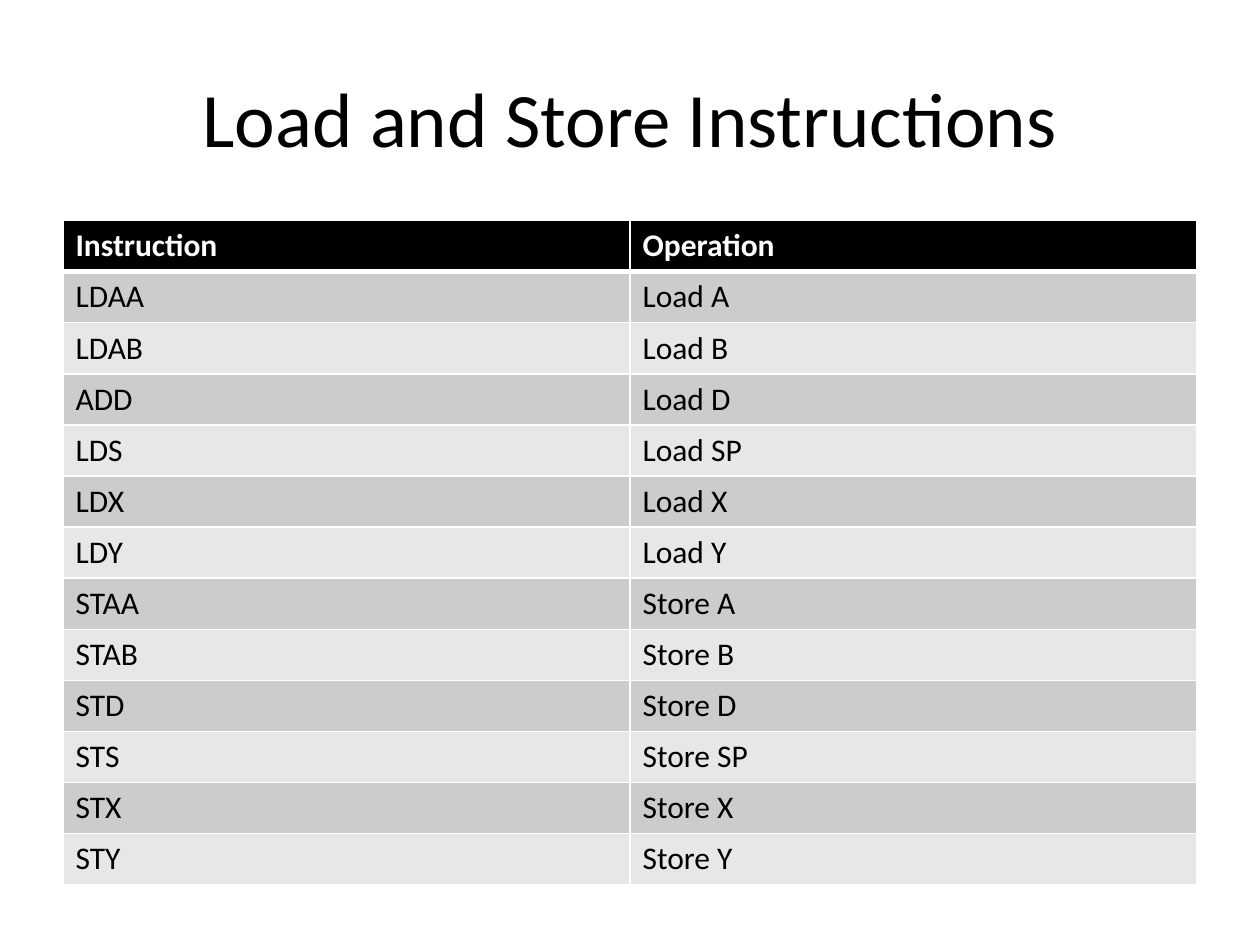
from typing import NamedTuple

from lxml import etree
from pptx import Presentation
from pptx import util as u
from pptx.dml.color import RGBColor
from pptx.enum import text
from pptx.oxml.ns import qn

FONT = "Calibri"
COLORS = {"black": "000000", "white": "FFFFFF", "dark": "CCCCCC", "light": "E7E7E7"}


class Instruction(NamedTuple):
    name: str
    operation: str


class CellStyle(NamedTuple):
    fill: str
    color: str
    bold: bool
    top: int
    bottom: int


HEADER = Instruction("Instruction", "Operation")
INSTRUCTIONS = [
    Instruction("LDAA", "Load A"),
    Instruction("LDAB", "Load B"),
    Instruction("ADD", "Load D"),
    Instruction("LDS", "Load SP"),
    Instruction("LDX", "Load X"),
    Instruction("LDY", "Load Y"),
    Instruction("STAA", "Store A"),
    Instruction("STAB", "Store B"),
    Instruction("STD", "Store D"),
    Instruction("STS", "Store SP"),
    Instruction("STX", "Store X"),
    Instruction("STY", "Store Y"),
]


def add_run(p, words: str, size: int, color: str, bold: bool = False) -> None:
    r = p.add_run()
    r.text = words
    r.font.name = FONT
    r.font.size = u.Pt(size)
    r.font.bold = bold
    r.font.color.rgb = RGBColor.from_string(COLORS[color])


def add_border(cell, side: str, width: int) -> None:
    """Draw one white edge; side is L, R, T or B, in that order."""
    tc_pr = cell._tc.get_or_add_tcPr()
    ln = etree.SubElement(tc_pr, qn(f"a:ln{side}"), w=str(u.Pt(width)))
    fill = etree.SubElement(ln, qn("a:solidFill"))
    etree.SubElement(fill, qn("a:srgbClr"), val=COLORS["white"])


def row_style(row: int) -> CellStyle:
    if row == 0:
        return CellStyle("black", "white", True, 1, 3)
    band = "dark" if row % 2 else "light"
    return CellStyle(band, "black", False, 3 if row == 1 else 1, 1)


def fill_cell(cell, words: str, style: CellStyle) -> None:
    for side, width in zip("LRTB", (1, 1, style.top, style.bottom)):
        add_border(cell, side, width)
    cell.fill.solid()
    cell.fill.fore_color.rgb = RGBColor.from_string(COLORS[style.fill])
    add_run(cell.text_frame.paragraphs[0], words, 18, style.color, style.bold)


def add_title(s, words: str) -> None:
    sp = s.shapes.title
    sp.left, sp.top = u.Inches(0.5), u.Inches(0.3)
    sp.width, sp.height = u.Inches(9), u.Inches(1.25)
    tf = sp.text_frame
    tf.vertical_anchor = text.MSO_ANCHOR.MIDDLE
    p = tf.paragraphs[0]
    p.alignment = text.PP_ALIGN.CENTER
    add_run(p, words, 44, "black")


def add_instruction_table(s, rows: list[Instruction]) -> None:
    table = s.shapes.add_table(
        len(rows), len(HEADER),
        u.Inches(0.5), u.Inches(1.75), u.Inches(9), u.Inches(5.27),
    ).table
    for i, row in enumerate(rows):
        for j, words in enumerate(row):
            fill_cell(table.cell(i, j), words, row_style(i))


def main() -> None:
    prs = Presentation()
    prs.slide_width, prs.slide_height = u.Inches(10), u.Inches(7.5)
    s = prs.slides.add_slide(prs.slide_layouts[5])
    add_title(s, "Load and Store Instructions")
    add_instruction_table(s, [HEADER, *INSTRUCTIONS])
    prs.save("out.pptx")


if __name__ == "__main__":
    main()
